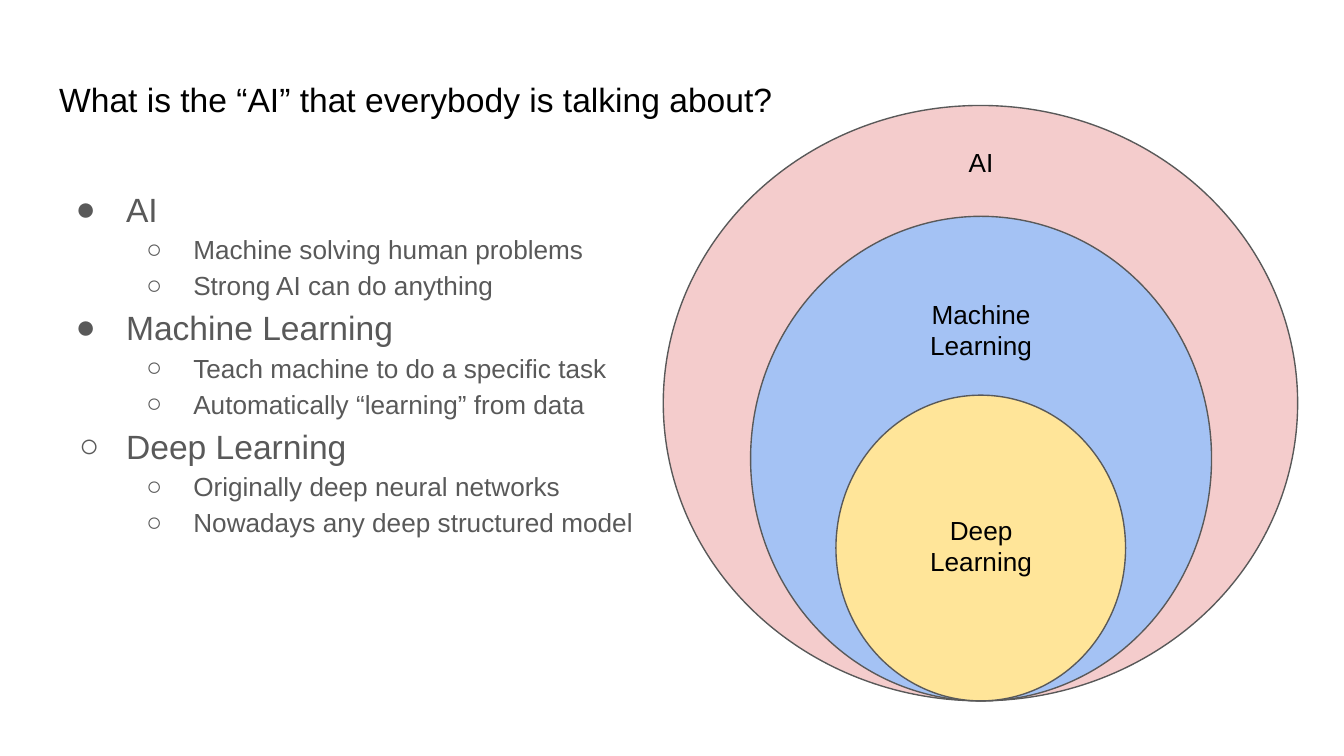
from lxml import etree
from pptx import Presentation
from pptx import util as u
from pptx.dml.color import RGBColor
from pptx.enum import shapes, text
from pptx.oxml import ns

SCALE = 4572
FONT = "Arial"
COLORS = {
    "black": "000000", "gray": "595959", "white": "FFFFFF",
    "pink": "F4CCCC", "blue": "A4C2F4", "yellow": "FFE599",
}
TOPICS = [
    ("AI", "●", 75, ["Machine solving human problems", "Strong AI can do anything"]),
    ("Machine Learning", "●", 75,
     ["Teach machine to do a specific task", "Automatically “learning” from data"]),
    ("Deep Learning", "○", 70,
     ["Originally deep neural networks", "Nowadays any deep structured model"]),
]
CIRCLES = [
    ("pink", 987, 157, 944, 886),
    ("blue", 1117, 322, 686, 721),
    ("yellow", 1244, 588, 431, 455),
]
LABELS = [("Machine Learning", 424, 144), ("AI", 198, 86), ("Deep Learning", 745, 144)]


def px(length):
    return u.Emu(length * SCALE)


def color(name):
    return RGBColor.from_string(COLORS[name])


class SlideBuilder:
    """Hold the style and current slide, and add each kind of element."""

    def __init__(self, presentation):
        self.slide = presentation.slides.add_slide(presentation.slide_layouts[5])
        self.slide.background.fill.solid()
        self.slide.background.fill.fore_color.rgb = color("white")

    def format_frame(self, frame):
        frame.word_wrap = True
        frame.auto_size = text.MSO_AUTO_SIZE.NONE
        frame.vertical_anchor = text.MSO_ANCHOR.TOP
        frame.margin_left = frame.margin_right = px(20)
        frame.margin_top = frame.margin_bottom = px(20)

    def format_paragraph(self, paragraph, size, color_name, align):
        paragraph.alignment = align
        for run in paragraph.runs:
            run.font.name = FONT
            run.font.size = u.Pt(size)
            run.font.color.rgb = color(color_name)

    def title(self, words, left, top, width, height):
        shape = self.slide.shapes.title
        shape.left, shape.top = px(left), px(top)
        shape.width, shape.height = px(width), px(height)
        frame = shape.text_frame
        frame.text = words
        self.format_frame(frame)
        self.format_paragraph(frame.paragraphs[0], 18, "black", text.PP_ALIGN.LEFT)

    def text_box(self, left, top, width, height):
        shape = self.slide.shapes.add_textbox(px(left), px(top), px(width), px(height))
        self.format_frame(shape.text_frame)
        return shape.text_frame

    def label(self, words, left, top, width, height):
        frame = self.text_box(left, top, width, height)
        frame.text = words
        self.format_paragraph(frame.paragraphs[0], 14, "black", text.PP_ALIGN.CENTER)

    def bullet(self, paragraph, level, symbol, hanging):
        paragraph.level = level
        paragraph.line_spacing = 1.15
        properties = paragraph._p.get_or_add_pPr()
        properties.set("marL", str(px(100 * (level + 1))))
        properties.set("indent", str(-px(hanging)))
        bullet_color = etree.SubElement(properties, ns.qn("a:buClr"))
        etree.SubElement(bullet_color, ns.qn("a:srgbClr"), val=COLORS["gray"])
        etree.SubElement(properties, ns.qn("a:buFont"), typeface=FONT)
        etree.SubElement(properties, ns.qn("a:buChar"), char=symbol)

    def outline(self, topics, left, top, width, height):
        frame = self.text_box(left, top, width, height)
        items = []
        for heading, symbol, hanging, details in topics:
            items.append((heading, 0, symbol, hanging, 18))
            items += [(detail, 1, "○", 70, 14) for detail in details]
        frame.text = "\n".join(item[0] for item in items)
        for paragraph, (_, level, symbol, hanging, size) in zip(frame.paragraphs, items):
            self.format_paragraph(paragraph, size, "gray", text.PP_ALIGN.LEFT)
            self.bullet(paragraph, level, symbol, hanging)

    def ellipse(self, fill, left, top, width, height):
        shape = self.slide.shapes.add_shape(
            shapes.MSO_SHAPE.OVAL, px(left), px(top), px(width), px(height))
        shape.shadow.inherit = False
        shape.fill.solid()
        shape.fill.fore_color.rgb = color(fill)
        shape.line.color.rgb = color("gray")
        shape.line.width = u.Pt(0.75)


def main():
    presentation = Presentation()
    presentation.slide_width, presentation.slide_height = px(2000), px(1125)
    builder = SlideBuilder(presentation)
    builder.title("What is the “AI” that everybody is talking about?", 68, 98, 1152, 126)
    builder.outline(TOPICS, 68, 252, 920, 748)
    for circle in CIRCLES:
        builder.ellipse(*circle)
    for words, top, height in LABELS:
        builder.label(words, 1362, top, 196, height)
    presentation.save("out.pptx")


if __name__ == "__main__":
    main()
